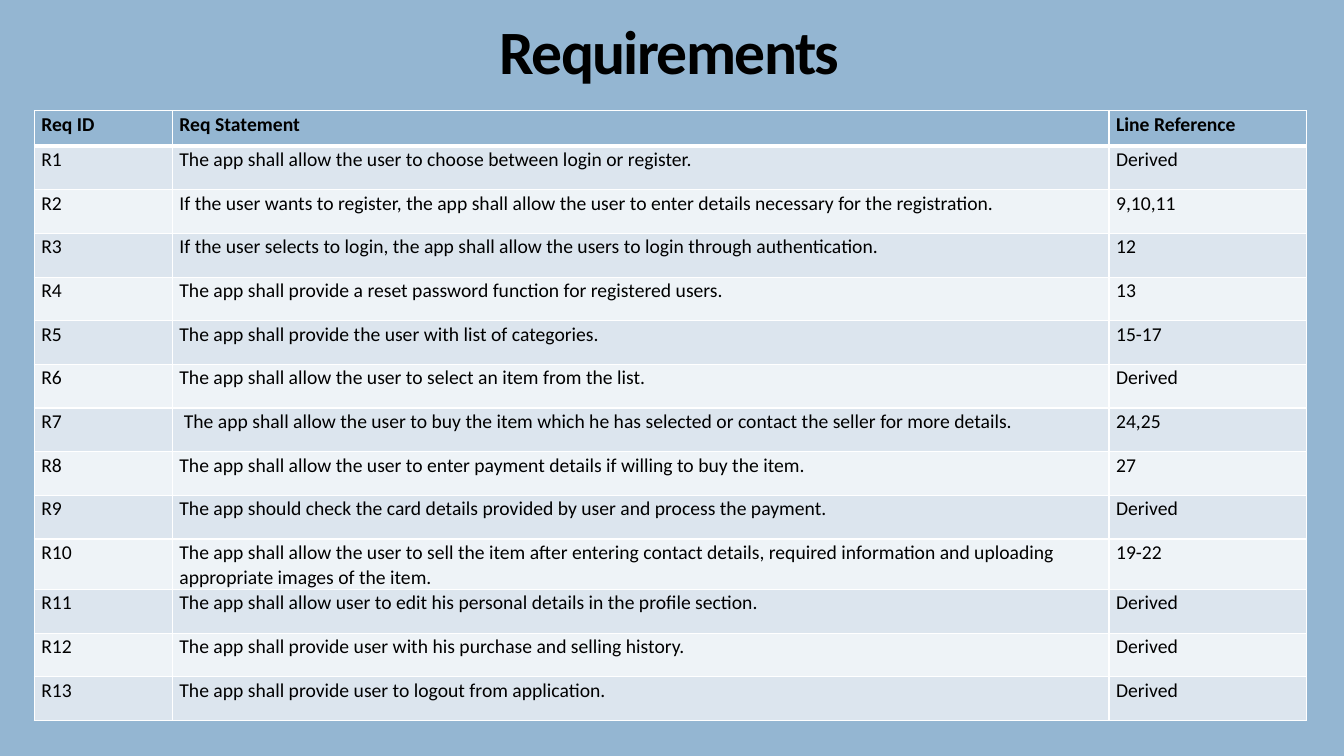
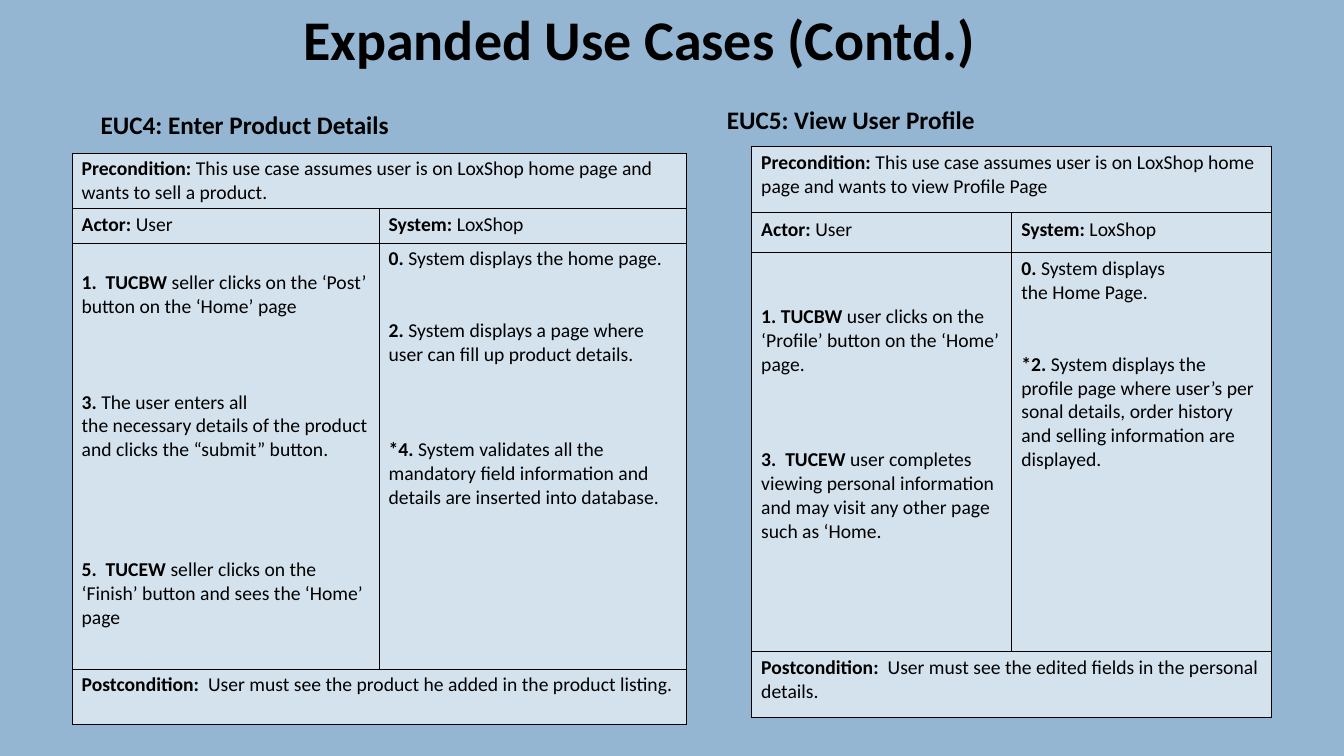
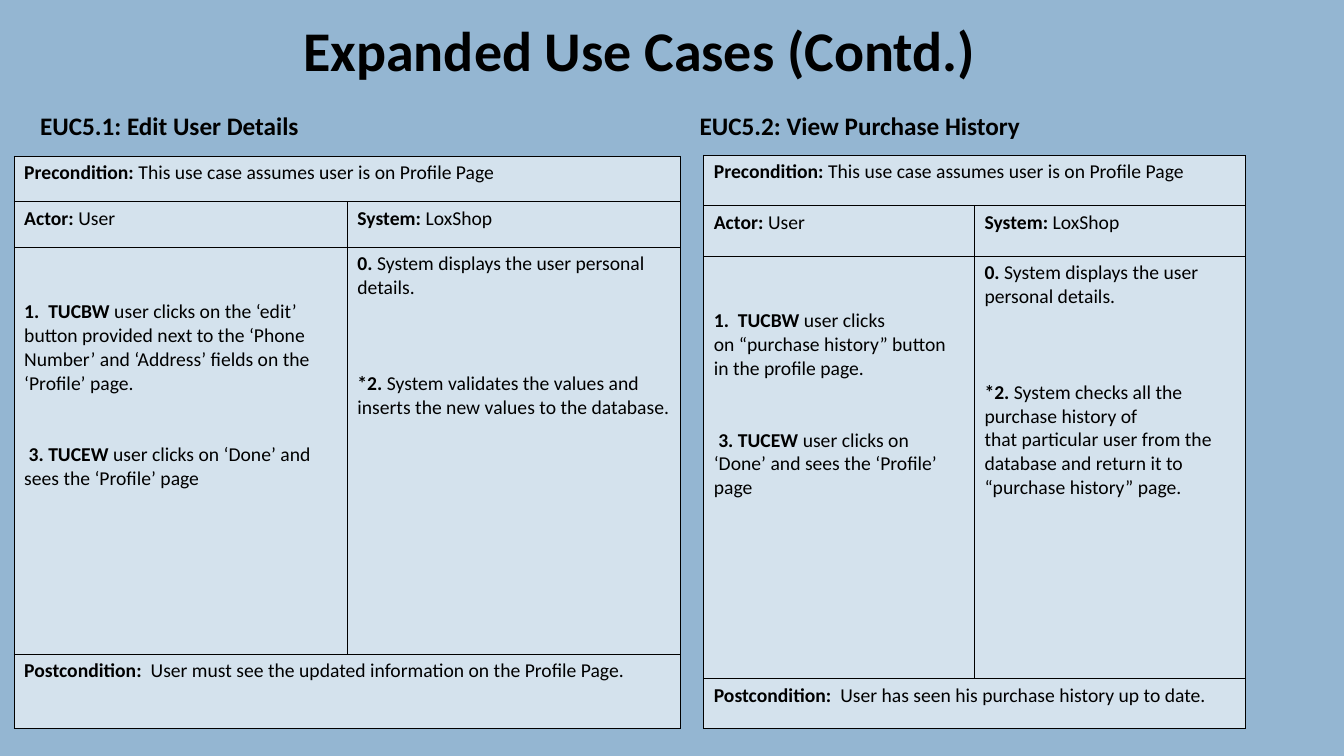
from lxml import etree
from pptx import Presentation
from pptx.dml.color import RGBColor
from pptx.enum.text import MSO_ANCHOR, MSO_AUTO_SIZE, PP_ALIGN
from pptx.oxml.ns import qn
from pptx.util import Inches, Pt

CENTER, LEFT = PP_ALIGN.CENTER, PP_ALIGN.LEFT
BOTTOM, TOP = MSO_ANCHOR.BOTTOM, MSO_ANCHOR.TOP
FIT_SHAPE = MSO_AUTO_SIZE.SHAPE_TO_FIT_TEXT

BLUE = RGBColor(0x94, 0xB6, 0xD2)
PALE_BLUE = RGBColor(0xD4, 0xE2, 0xED)
BAND_DARK = RGBColor(0xDC, 0xE5, 0xEE)
BAND_LIGHT = RGBColor(0xEE, 0xF3, 0xF7)
BLACK = RGBColor(0, 0, 0)
WHITE = RGBColor(0xFF, 0xFF, 0xFF)

FONT = "Calibri"
BODY_SIZE = 14
BODY_LINE = 17.1  # height of one body line, in points

prs = Presentation()
prs.slide_width, prs.slide_height = Inches(13.33), Inches(7.5)
GRID_ROWS = 75
CELL = prs.slide_height / GRID_ROWS


def grid(cells):
    """Turn a count of square grid cells into a length."""
    return round(cells * CELL)


def new_slide():
    """Add a blank slide with the shared background."""
    slide = prs.slides.add_slide(prs.slide_layouts[6])
    slide.background.fill.solid()
    slide.background.fill.fore_color.rgb = BLUE
    return slide


def style(font, size, bold=None):
    """Apply the shared typeface and colour."""
    font.name, font.size, font.bold = FONT, Pt(size), bold
    font.color.rgb = BLACK


def add_label(slide, box, text, size, align=LEFT, anchor=TOP):
    """Place one bold line of text in the box and return its paragraph."""
    frame = slide.shapes.add_textbox(*map(grid, box)).text_frame
    frame.word_wrap = True
    frame.vertical_anchor = anchor
    if anchor == TOP:
        frame.auto_size = FIT_SHAPE
    line = frame.paragraphs[0]
    line.text, line.alignment = text, align
    style(line.font, size, True)
    return line


def add_grid_table(slide, box, widths, heights):
    """Add an unbanded table with the given column widths and row heights."""
    table = slide.shapes.add_table(len(heights), len(widths), *map(grid, box)).table
    table.first_row = table.horz_banding = False
    for column, width in zip(table.columns, widths):
        column.width = grid(width)
    for row, height in zip(table.rows, heights):
        row.height = grid(height)
    return table


def paint_cell(cell, fill, line, width, top=None, bottom=None):
    """Draw the four borders of a cell, then its fill."""
    edges = {"a:lnL": width, "a:lnR": width,
             "a:lnT": top or width, "a:lnB": bottom or width}
    for tag, points in edges.items():
        border = etree.SubElement(cell._tc.get_or_add_tcPr(), qn(tag), w=str(Pt(points)))
        solid = etree.SubElement(border, qn("a:solidFill"))
        etree.SubElement(solid, qn("a:srgbClr"), val=str(line))
    cell.fill.solid()
    cell.fill.fore_color.rgb = fill


def set_insets(cell, side, end):
    """Set the side and the top and bottom margins of a cell."""
    cell.margin_left = cell.margin_right = grid(side)
    cell.margin_top = cell.margin_bottom = grid(end)


def add_requirements(slide, box, rows):
    """Fill the box with the requirements table; the first row is the header."""
    header, tall, tall_row = 3.5, 5, 10
    usual = (box[3] - header - tall) / (len(rows) - 2)
    heights = [header] + [usual] * (len(rows) - 1)
    heights[tall_row] = tall
    id_width, reference_width = 13.7, 19.6
    widths = [id_width, box[2] - id_width - reference_width, reference_width]
    table = add_grid_table(slide, box, widths, heights)
    for r, row in enumerate(rows):
        fill = BLUE if r == 0 else BAND_DARK if r % 2 else BAND_LIGHT
        for c, text in enumerate(row):
            cell = table.cell(r, c)
            paint_cell(cell, fill, WHITE, 1, top=3 if r == 1 else 1,
                       bottom=3 if r == 0 else 1)
            set_insets(cell, 0.7, 0)
            entry = cell.text_frame.paragraphs[0]
            entry.text, entry.line_spacing = text, 1.07
            style(entry.font, BODY_SIZE, r == 0)


def write_steps(cell, steps):
    """Write (blank lines before, bold label, text) steps; ~ is a fixed space."""
    frame = cell.text_frame
    for i, (gap, label, text) in enumerate(steps):
        step = frame.add_paragraph() if i else frame.paragraphs[0]
        if i:
            step.space_before = Pt(gap * BODY_LINE)
        else:
            cell.margin_top += Pt(gap * BODY_LINE)
        style(step.font, BODY_SIZE)
        for part, bold in ((label, True), (text, False)):
            run = step.add_run()
            run.text = part.replace("~", "\u00a0")
            style(run.font, BODY_SIZE, bold)


def add_use_case(slide, heading, heading_box, box, ends, precondition, actor_steps,
                 system_steps, postcondition, insets=(1, 0.5)):
    """Add a heading and its table; ends are the condition, role and closing rows."""
    add_label(slide, heading_box, heading, 18)
    condition, roles, closing = ends
    heights = [condition, roles, box[3] - sum(ends), closing]
    table = add_grid_table(slide, box, [box[2] / 2] * 2, heights)
    for cell in table.iter_cells():
        paint_cell(cell, PALE_BLUE, BLACK, 0.5)
        set_insets(cell, *insets)
    for r in (0, 3):
        table.cell(r, 0).merge(table.cell(r, 1))
    contents = {
        (0, 0): [(0, "Precondition:~", precondition)],
        (1, 0): [(0, "Actor:~", "User")],
        (1, 1): [(0, "System:", "~LoxShop")],
        (2, 0): actor_steps,
        (2, 1): system_steps,
        (3, 0): [(0, "Postcondition:~", "~" + postcondition)],
    }
    for (r, c), steps in contents.items():
        write_steps(table.cell(r, c), steps)


def use_case_slide(title_top, use_cases):
    """Build one slide of expanded use cases."""
    slide = new_slide()
    add_label(slide, (14.9, title_top, 97, 7.7), "Expanded Use Cases (Contd.)", 40, CENTER)
    for use_case in use_cases:
        add_use_case(slide, **use_case)


def requirements_slide(rows):
    """Build the slide of numbered requirements."""
    slide = new_slide()
    title = add_label(slide, (47.5, 2.5, 37.8, 6.6), "Requirements", 44, CENTER, BOTTOM)
    title.line_spacing = 0.8
    title.runs[0].font._element.set("spc", "-120")
    add_requirements(slide, (3.4, 11, 126.2, 60.5), rows)


REQUIREMENTS = [
    ("The app shall allow the user to choose between login or register.", "Derived"),
    ("If the user wants to register, the app shall allow the user to enter details "
     "necessary for the registration.", "9,10,11"),
    ("If the user selects to login, the app shall allow the users to login through "
     "authentication.", "12"),
    ("The app shall provide a reset password function for registered users.", "13"),
    ("The app shall provide the user with list of categories.", "15-17"),
    ("The app shall allow the user to select an item from the list.", "Derived"),
    (" The app shall allow the user to buy the item which he has selected or contact "
     "the seller for more details.", "24,25"),
    ("The app shall allow the user to enter payment details if willing to buy the item.",
     "27"),
    ("The app should check the card details provided by user and process the payment.",
     "Derived"),
    ("The app shall allow the user to sell the item after entering contact details, "
     "required information and uploading appropriate images of the item.", "19-22"),
    ("The app shall allow user to edit his personal details in the profile section.",
     "Derived"),
    ("The app shall provide user with his purchase and selling history.", "Derived"),
    ("The app shall provide user to logout from application.", "Derived"),
]

ON_PROFILE_PAGE = "This use case assumes user is on Profile Page"
SHOW_DETAILS = (0, "0.~", "System displays the user personal details.")
FINISH_PROFILE = (2, "~3.~TUCEW~", "user clicks on ‘Done’ and sees the ‘Profile’ page")

VIEW_PROFILE = dict(
    heading="EUC5: View User Profile", heading_box=(71.1, 9.9, 49.9, 4),
    box=(74.5, 14.5, 51.6, 56.7), ends=(6.6, 3.9, 6.6),
    precondition="This use case assumes user is on~LoxShop~home page and~wants to "
                 "view Profile Page",
    actor_steps=[
        (2, "1. TUCBW~", "user clicks on the ‘Profile’ button on the\u202f‘Home’ page."),
        (3, "3.~~TUCEW~", "user completes viewing personal information and may visit "
                          "any other page such as ‘Home."),
    ],
    system_steps=[
        (0, "0.~", "System displays the~Home~Page."),
        (2, "*2.~", "System displays~the profile~page~where~user’s~personal details, "
                    "order history and selling information~are displayed."),
    ],
    postcondition="User must see the edited fields in the personal details.",
)
ENTER_PRODUCT = dict(
    heading="EUC4: Enter Product Details", heading_box=(9, 10.4, 34.4, 4),
    box=(7.2, 15.2, 60.9, 56.7), ends=(5.5, 3.4, 5.5), insets=(0.9, 0.4),
    precondition="This use case assumes user is on~LoxShop~home page and wants to "
                 "sell a product.",
    actor_steps=[
        (1, "1.~~TUCBW~", "seller clicks on the ‘Post’ button on the ‘Home’~page"),
        (3, "3.~", "The user enters all the~necessary~details of the product and "
                   "clicks the “submit” button."),
        (4, "5.~~TUCEW~", "seller clicks on the ‘Finish’ button and sees the "
                          "‘Home’ page"),
    ],
    system_steps=[
        (0, "0.~", "System displays the home page."),
        (2, "2.~", "System displays a page where user can fill up product details."),
        (3, "*4.~", "System validates all the mandatory field information and details "
                    "are inserted into database."),
    ],
    postcondition="User must see the product he added in the product listing.",
)
VIEW_HISTORY = dict(
    heading="EUC5.2: View Purchase History", heading_box=(68.4, 10.5, 49.9, 4),
    box=(69.8, 15.4, 53.7, 56.9), ends=(5, 5, 5),
    precondition=ON_PROFILE_PAGE,
    actor_steps=[
        (2, "1.~~TUCBW", "~user clicks on~“purchase history”~button in the profile page."),
        FINISH_PROFILE,
    ],
    system_steps=[
        SHOW_DETAILS,
        (3, "*2.~", "System checks all the purchase history of that~particular user~from "
                    "the database and return it to “purchase history”~page."),
    ],
    postcondition="User~has seen his purchase history up to date.",
)
EDIT_DETAILS = dict(
    heading="EUC5.1: Edit User Details", heading_box=(3, 10.5, 35.3, 4),
    box=(1.4, 15.5, 66.1, 56.8), ends=(4.5, 4.5, 7.4),
    precondition=ON_PROFILE_PAGE,
    actor_steps=[
        (2, "1.~~TUCBW", "~user clicks on the ‘edit’ button provided next to the ‘Phone "
                         "Number’\u202fand ‘Address’\u202ffields\u202fon the ‘Profile’ page."),
        FINISH_PROFILE,
    ],
    system_steps=[
        SHOW_DETAILS,
        (3, "*2.~", "System validates the values and inserts the new values to the "
                    "database."),
    ],
    postcondition="User must see the updated information on the Profile Page.",
)

requirements_slide(
    [("Req ID", "Req Statement", "Line Reference")]
    + [(f"R{n}", *entry) for n, entry in enumerate(REQUIREMENTS, 1)])
use_case_slide(0, [VIEW_PROFILE, ENTER_PRODUCT])
use_case_slide(1.1, [VIEW_HISTORY, EDIT_DETAILS])
prs.save("out.pptx")
